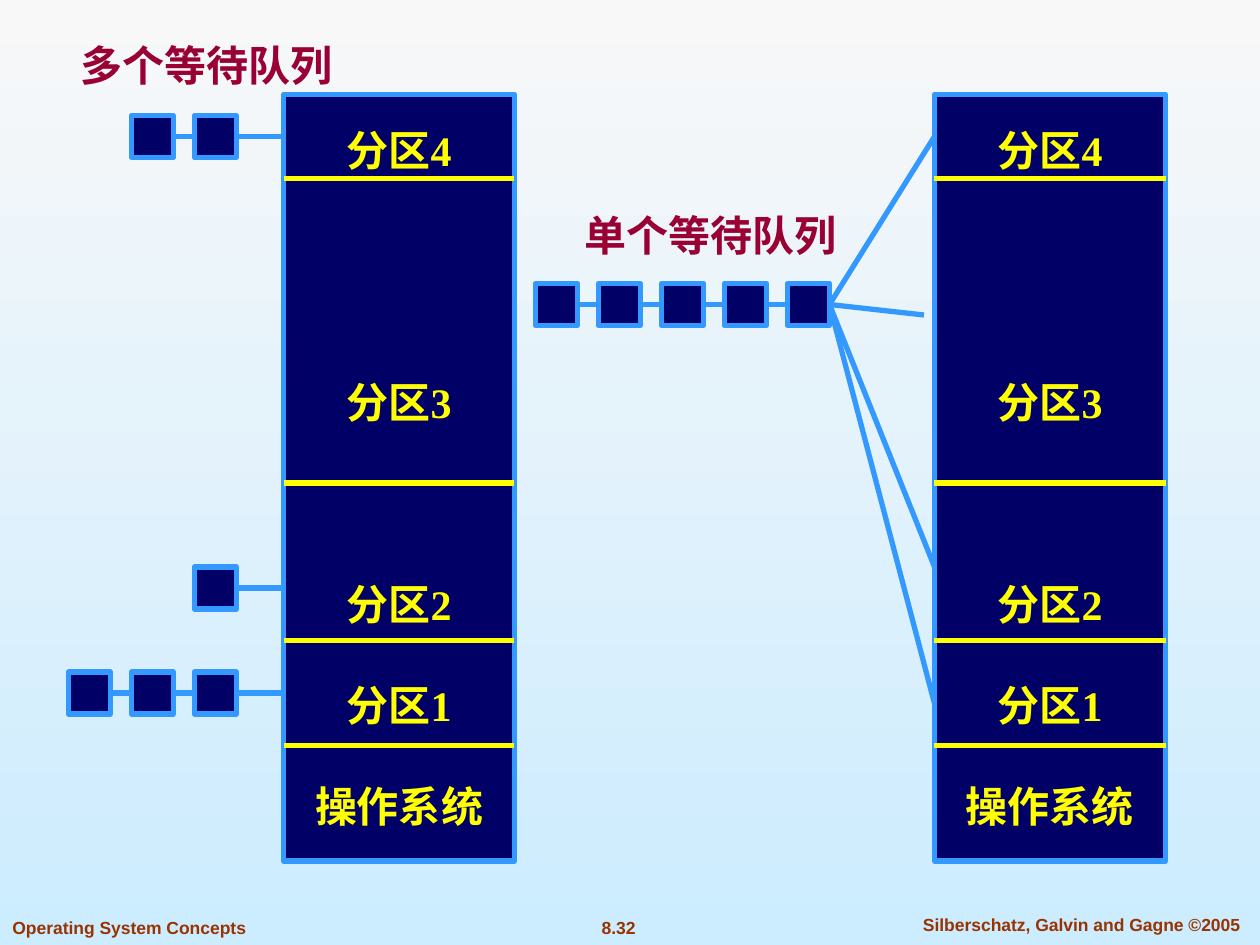
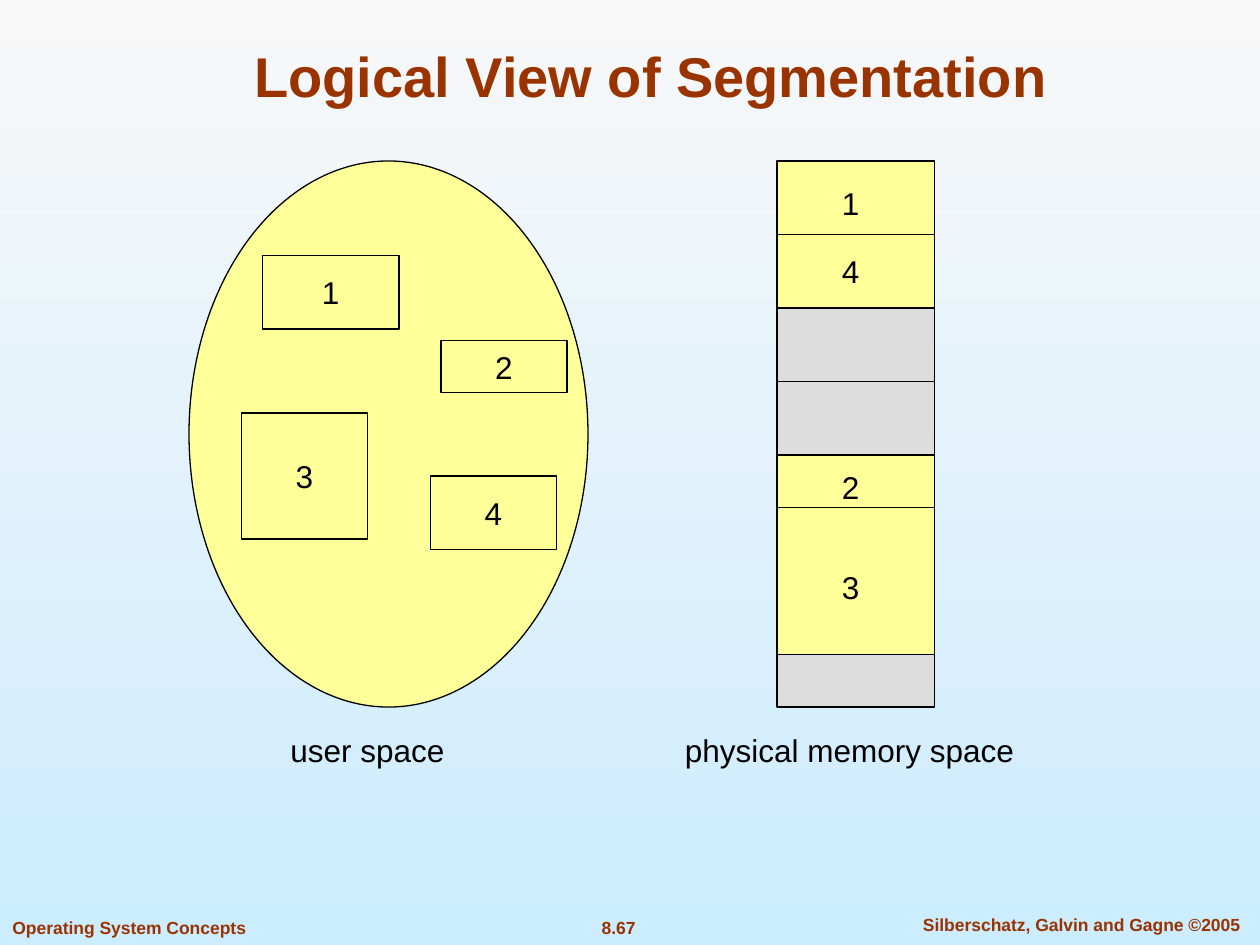
from dataclasses import dataclass
from pptx import Presentation
from pptx.dml.color import RGBColor
from pptx.enum.shapes import MSO_CONNECTOR, MSO_SHAPE
from pptx.enum.text import MSO_ANCHOR, MSO_AUTO_SIZE, PP_ALIGN
from pptx.oxml.ns import qn
from pptx.util import Pt
from lxml import etree

RECT, OVAL = MSO_SHAPE.RECTANGLE, MSO_SHAPE.OVAL
STRAIGHT = MSO_CONNECTOR.STRAIGHT
LEFT, CENTER = PP_ALIGN.LEFT, PP_ALIGN.CENTER
TOP, MIDDLE, BOTTOM = MSO_ANCHOR.TOP, MSO_ANCHOR.MIDDLE, MSO_ANCHOR.BOTTOM
NO_FIT = MSO_AUTO_SIZE.NONE
TITLE_ONLY, BLANK = 5, 6


@dataclass(frozen=True)
class Theme:
    sky_top: str = "F8F8F8"
    sky_bottom: str = "CCECFF"
    brown: str = "993300"
    crimson: str = "990033"
    navy: str = "000066"
    blue: str = "3399FF"
    bright: str = "FFFF00"
    yellow: str = "FFFF99"
    grey: str = "DDDDDD"
    black: str = "000000"
    sans: str = "Arial"
    serif: str = "Times New Roman"
    title: float = 32
    heading: float = 24
    label: float = 18
    footer: float = 10
    thick: float = 3
    thin: float = 0.75


T = Theme()
TITLE = dict(name=T.sans, size=T.title, bold=True, color=T.brown)
FOOTER = dict(name=T.sans, size=T.footer, bold=True, color=T.brown)
HEADING = dict(name=T.serif, size=T.heading, bold=True, color=T.crimson)
PARTITION = dict(HEADING, color=T.bright)
LABEL = dict(name=T.sans, size=T.label, bold=False, color=T.black)

NAVY_BOX = dict(fill=T.navy, line=T.blue, width=T.thick)
YELLOW_BOX = dict(fill=T.yellow, line=T.black, width=T.thin)
GREY_BOX = dict(YELLOW_BOX, fill=T.grey)
LINK = dict(color=T.blue, width=T.thick)
DIVIDER = dict(color=T.bright, width=T.thick)
EDGE = dict(color=T.black, width=T.thin)

BOX, PITCH = 24, 36
COLUMN_TOP, COLUMN_W, COLUMN_H = 54, 132, 438
LINE_STEP = 28.8
PARTITIONS = [("分区4", 0), ("分区3", 4), ("分区2", 3), ("分区1", 1), ("操作系统", 1)]


def rgb(color):
    return RGBColor.from_string(color)


def write(tf, lines, style, align=CENTER, anchor=MIDDLE, wrap=False):
    frame = dict(word_wrap=wrap, vertical_anchor=anchor, auto_size=NO_FIT)
    for name, value in frame.items():
        setattr(tf, name, value)
    for i, (text, gap) in enumerate(lines):
        p = tf.add_paragraph() if i else tf.paragraphs[0]
        p.alignment = align
        p.space_before = Pt(gap)
        r = p.add_run()
        r.text = text
        formats = dict(name=style["name"], size=Pt(style["size"]), bold=style["bold"])
        for name, value in formats.items():
            setattr(r.font, name, value)
        r.font.color.rgb = rgb(style["color"])


def add_text(shapes, text, x, y, w, h, style, **layout):
    tb = shapes.add_textbox(Pt(x), Pt(y), Pt(w), Pt(h))
    write(tb.text_frame, [(text, 0)], style, **layout)


def add_box(shapes, x, y, w, h, look, kind=RECT):
    sp = shapes.add_shape(kind, Pt(x), Pt(y), Pt(w), Pt(h))
    sp.shadow.inherit = False
    sp.fill.solid()
    sp.fill.fore_color.rgb = rgb(look["fill"])
    sp.line.color.rgb = rgb(look["line"])
    sp.line.width = Pt(look["width"])
    return sp


def add_line(shapes, x1, y1, x2, y2, look):
    cn = shapes.add_connector(STRAIGHT, Pt(x1), Pt(y1), Pt(x2), Pt(y2))
    cn.line.color.rgb = rgb(look["color"])
    cn.line.width = Pt(look["width"])
    etree.SubElement(cn._element.spPr, qn("a:effectLst"))


def add_background(prs):
    fill = prs.slide_master.background.fill
    fill.gradient()
    fill.gradient_angle = 270
    for stop, color, position in zip(fill.gradient_stops, (T.sky_top, T.sky_bottom), (0, 1)):
        stop.color.rgb = rgb(color)
        stop.position = position


def add_slide(prs, layout, number):
    s = prs.slides.add_slide(prs.slide_layouts[layout])
    add_text(s.shapes, number, 318, 520.5, 71, 19.5, FOOTER, anchor=TOP)
    add_text(s.shapes, "Silberschatz, Galvin and Gagne ©2005", 511, 518.5, 214, 19.5,
             FOOTER, anchor=TOP, wrap=True)
    add_text(s.shapes, "Operating System Concepts", 0, 520.5, 148, 19.5,
             FOOTER, align=LEFT, anchor=TOP)
    return s


def set_title(s, text):
    sp = s.shapes.title
    for name, value in dict(left=54, top=18, width=636, height=48).items():
        setattr(sp, name, Pt(value))
    write(sp.text_frame, [(text, 0)], TITLE, anchor=BOTTOM, wrap=True)


def add_queue(shapes, x, y, count, exit_x=None):
    mid = y + BOX / 2
    for i in range(count):
        left = x + i * PITCH
        add_box(shapes, left, y, BOX, BOX, NAVY_BOX)
        end = left + PITCH if i < count - 1 else exit_x
        if end:
            add_line(shapes, left + BOX, mid, end, mid, LINK)


def add_memory_column(shapes, x):
    sp = add_box(shapes, x, COLUMN_TOP, COLUMN_W, COLUMN_H, NAVY_BOX)
    write(sp.text_frame, [(text, gap * LINE_STEP) for text, gap in PARTITIONS], PARTITION)
    for y in (102, 276, 366, 426):
        add_line(shapes, x, y, x + COLUMN_W, y, DIVIDER)


def build_queues(prs):
    shapes = add_slide(prs, BLANK, "8.32").shapes
    add_memory_column(shapes, 534)
    for count, y in ((2, 66), (1, 324), (3, 384)):
        add_queue(shapes, 147 - count * PITCH, y, count, 165)
    add_text(shapes, "多个等待队列", 39, 19, 158, 36, HEADING, align=LEFT, anchor=TOP)
    add_text(shapes, "单个等待队列", 327, 116, 158, 36, HEADING, align=LEFT, anchor=TOP)
    add_queue(shapes, 306, 162, 5)
    for x, y in ((534, 78), (528, 180), (534, 324), (534, 402)):
        add_line(shapes, x, y, 474, 174, LINK)
    add_memory_column(shapes, 162)


def build_segmentation(prs):
    s = add_slide(prs, TITLE_ONLY, "8.67")
    set_title(s, "Logical View of Segmentation")
    add_box(s.shapes, 108, 92, 228, 312, YELLOW_BOX, OVAL)
    segments = [("1", 150, 146, 78, 42), ("3", 138, 236, 72, 72),
                ("2", 252, 194.5, 72, 30), ("4", 246, 272, 72, 42)]
    for text, *place in segments:
        write(add_box(s.shapes, *place, YELLOW_BOX).text_frame, [(text, 0)], LABEL)

    memory = s.shapes.add_group_shape().shapes
    x, w, y = 444, 90, 92
    blocks = [(84, 42, YELLOW_BOX), (84, 42, GREY_BOX),
              (114, 30, YELLOW_BOX), (30, None, GREY_BOX)]
    for h, split, look in blocks:
        add_box(memory, x, y, w, h, look)
        if split:
            add_line(memory, x, y + split, x + w, y + split, EDGE)
        y += h
    for text, top in (("1", 101.5), ("4", 140.5), ("2", 263.5), ("3", 321)):
        add_text(memory, text, 474, top, 24, 29, LABEL)

    add_text(s.shapes, "user space ", 159, 414, 107, 29, LABEL)
    add_text(s.shapes, "physical memory space", 384.5, 414, 202, 29, LABEL)


def main():
    prs = Presentation()
    prs.slide_width, prs.slide_height = Pt(720), Pt(540)
    add_background(prs)
    build_queues(prs)
    build_segmentation(prs)
    prs.save("out.pptx")


main()
